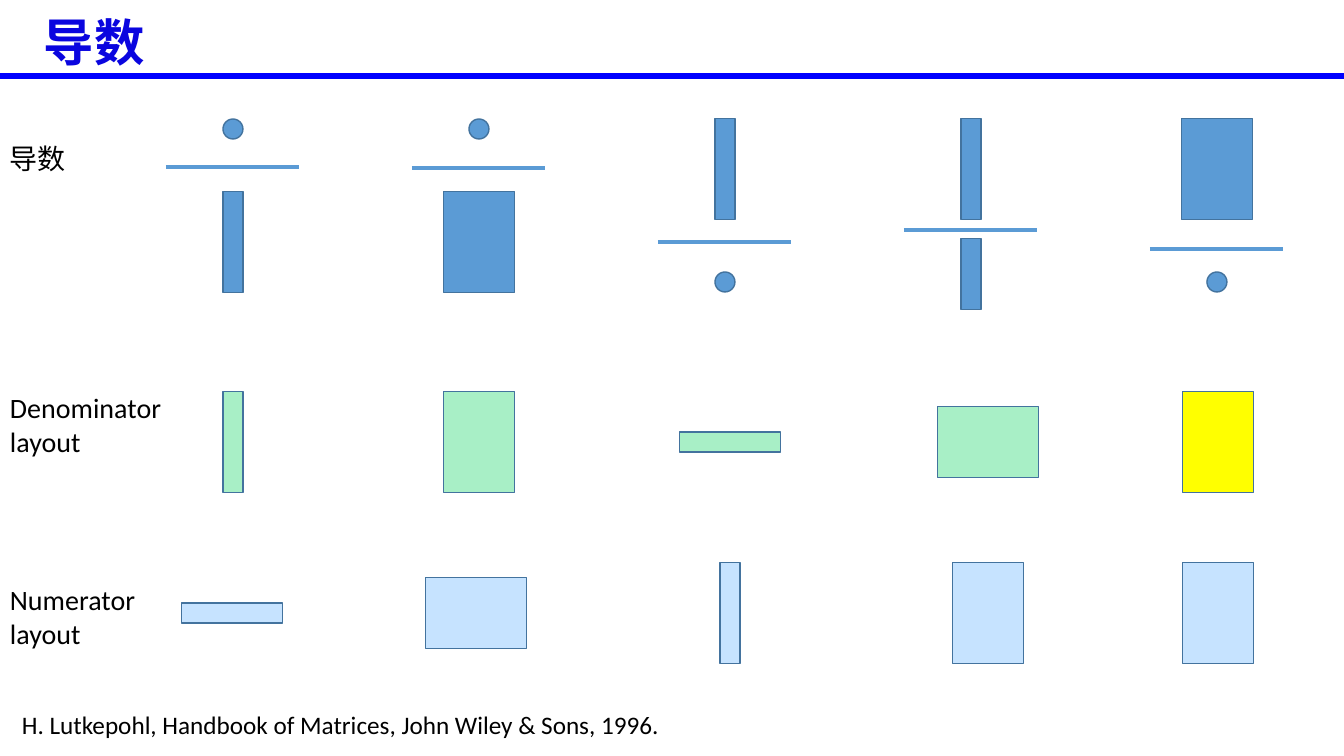
from lxml import etree
from pptx import Presentation
from pptx import util as u
from pptx.dml.color import RGBColor
from pptx.enum import shapes, text
from pptx.oxml.ns import qn

PX = 914400 / 100.8
WIDE, HIGH = 1344, 756
BLUE, EDGE, GREEN, PALE, YELLOW = "5B9BD5", "43739E", "A8EFC6", "C6E3FF", "FFFF00"
LATIN, HAN = "Calibri", "Noto Sans CJK SC"

# Width and height of each kind of quantity
DOT, COL, ROW = (20, 20), (20, 101), (101, 20)
TALL, FLAT, STUB = (71, 101), (101, 71), (20, 71)

# Per column: top size, its y, bar y, bottom size, its y
RATIOS = [
    (DOT, 129, 167, COL, 242),
    (DOT, 129, 168, TALL, 242),
    (COL, 169, 242, DOT, 282),
    (COL, 169, 230, STUB, 274),
    (TALL, 169, 249, DOT, 282),
]
DENOM = [(233, COL, GREEN), (479, TALL, GREEN), (730, ROW, GREEN),
         (988, FLAT, GREEN), (1218, TALL, YELLOW)]
NUMER = [(232, ROW), (476, FLAT), (730, COL), (988, TALL), (1218, TALL)]


def px(n):
    return u.Emu(round(n * PX))


def color(code):
    return RGBColor.from_string(code)


def box(slide, x, y, size, fill):
    """Draw one quantity centred on x, y; a dot becomes an ellipse."""
    kind = shapes.MSO_SHAPE.OVAL if size == DOT else shapes.MSO_SHAPE.RECTANGLE
    w, h = size
    item = slide.shapes.add_shape(kind, px(x - w / 2), px(y - h / 2), px(w), px(h))
    item.shadow.inherit = False
    item.fill.solid()
    item.fill.fore_color.rgb = color(fill)
    item.line.color.rgb = color(EDGE)
    item.line.width = u.Pt(1)


def rule(slide, x, y, w, hue, pt):
    line = slide.shapes.add_connector(
        shapes.MSO_CONNECTOR.STRAIGHT, px(x), px(y), px(x + w), px(y))
    line.line.color.rgb = color(hue)
    line.line.width = u.Pt(pt)
    etree.SubElement(line._element.spPr, qn("a:effectLst"))


def label(slide, x, y, w, h, lines, size=20, font=LATIN, hue="000000",
          bold=False, wrap=False):
    frame = slide.shapes.add_textbox(px(x), px(y), px(w), px(h)).text_frame
    frame.word_wrap = wrap
    frame.vertical_anchor = text.MSO_ANCHOR.MIDDLE
    for i, words in enumerate(lines):
        para = frame.add_paragraph() if i else frame.paragraphs[0]
        run = para.add_run()
        run.text = words
        run.font.size = u.Pt(size)
        run.font.name = font
        run.font.bold = bold
        run.font.color.rgb = color(hue)
        east = etree.SubElement(run.font._element, qn("a:ea"))
        east.set("typeface", HAN)


def ratio(slide, x, top, high, bar, low, deep):
    """Draw a quantity over another with a fraction bar between."""
    box(slide, x, high, top, BLUE)
    box(slide, x, deep, low, BLUE)
    rule(slide, x - 67, bar, 133, BLUE, 3)


def main():
    deck = Presentation()
    deck.slide_width, deck.slide_height = px(WIDE), px(HIGH)
    slide = deck.slides.add_slide(deck.slide_layouts[6])

    label(slide, 34, 5, 946, 72, ["导数"], 36, HAN, "0A05DF", True, True)
    for i, parts in enumerate(RATIOS):
        ratio(slide, 233 + 246 * i, *parts)
    for x, size, fill in DENOM:
        box(slide, x, 442, size, fill)
    for x, size in NUMER:
        box(slide, x, 613, size, PALE)

    label(slide, 0, 385, 179, 78, ["Denominator", "layout"])
    label(slide, 0, 577, 153, 78, ["Numerator", "layout"])
    label(slide, 0, 136, 77, 44, ["导数"])
    label(slide, 12, 704, 747, 40,
          ["H. Lutkepohl, Handbook of Matrices, John Wiley & Sons, 1996."],
          18, wrap=True)
    rule(slide, 0, 76, WIDE, "0000FF", 4)
    deck.save("out.pptx")


if __name__ == "__main__":
    main()
